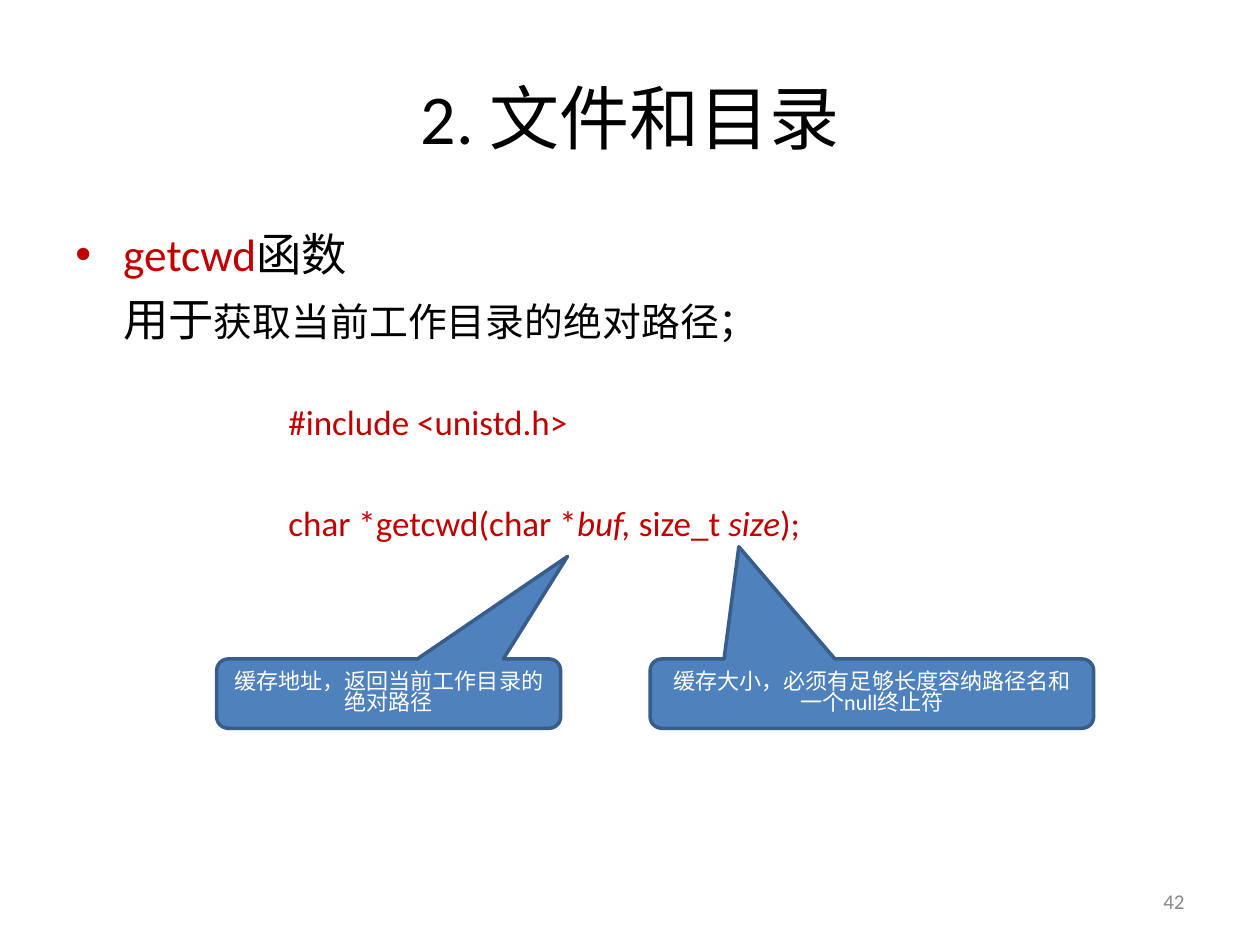
from lxml import etree
from pptx import Presentation
from pptx import util as u
from pptx.dml.color import RGBColor
from pptx.enum import shapes, text
from pptx.oxml import ns

COLORS = {"ink": "000000", "code": "C00000", "muted": "898989",
          "callout": "4F81BD", "edge": "385D8A", "light": "FFFFFF"}
FONT = "Calibri"
WIDTH, HEIGHT = 10, 7.5
MARGIN = WIDTH * 0.05
HANG = 0.38
CENTER, RIGHT = text.PP_ALIGN.CENTER, text.PP_ALIGN.RIGHT
MIDDLE = text.MSO_ANCHOR.MIDDLE

TITLE = [([("2. 文件和目录", 40, "ink", False)], {"alignment": CENTER})]
SUMMARY = [
    ([("getcwd", 25.9, "code", False), ("函数", 25.9, "ink", False)], {}),
    ([("用于", 25.9, "ink", False), ("获取当前工作目录的绝对路径；", 22.2, "ink", False)],
     {"space_before": u.Pt(6)}),
]
PROTOTYPE = [
    ([("#include <unistd.h>", 20, "code", False)], {}),
    ([("char *getcwd(char *", 20, "code", False), ("buf, ", 20, "code", True),
      ("size_t", 20, "code", False), (" size", 20, "code", True),
      (");", 20, "code", False)], {"space_before": u.Pt(33.5)}),
]
PAGE = [([("42", 12, "muted", False)], {"alignment": RIGHT})]
TEXTS = [
    (TITLE, (MARGIN, 0.3, WIDTH - 2 * MARGIN, 1.25), MIDDLE),
    (SUMMARY, (MARGIN, 1.75, WIDTH - 2 * MARGIN, 1.06), text.MSO_ANCHOR.TOP),
    (PAGE, (WIDTH - MARGIN - 2.33, 6.95, 2.33, 0.4), MIDDLE),
    (PROTOTYPE, (2.19, 3.13, 5.47, 1.41), text.MSO_ANCHOR.TOP),
]
CALLOUT_TOP, CALLOUT_HEIGHT = 5.23, 0.55
CALLOUTS = [
    ("缓存地址，返回当前工作目录的绝对路径", 1.72, 2.73, (0.52, -1.98)),
    ("缓存大小，必须有足够长度容纳路径名和一个null终止符", 5.16, 3.52, (-0.3, -2.12)),
]


def rgb(name):
    return RGBColor.from_string(COLORS[name])


def apply(target, formats):
    for key, value in formats.items():
        setattr(target, key, value)


def write(frame, paragraphs, anchor):
    apply(frame, {"word_wrap": True, "vertical_anchor": anchor})
    for index, (pieces, formats) in enumerate(paragraphs):
        line = frame.paragraphs[0] if index == 0 else frame.add_paragraph()
        apply(line, formats)
        for words, size, color, italic in pieces:
            piece = line.add_run()
            piece.text = words
            apply(piece.font, {"name": FONT, "size": u.Pt(size), "italic": italic})
            piece.font.color.rgb = rgb(color)


def indent(line, bullet):
    props = line._p.get_or_add_pPr()
    props.set("marL", str(u.Inches(HANG)))
    props.set("indent", str(-u.Inches(HANG) if bullet else 0))
    if bullet:
        tint = etree.SubElement(props, ns.qn("a:buClr"))
        etree.SubElement(tint, ns.qn("a:srgbClr"), val=COLORS["code"])
        etree.SubElement(props, ns.qn("a:buFont"), typeface="Arial")
        etree.SubElement(props, ns.qn("a:buChar"), char="•")


def main():
    deck = Presentation()
    apply(deck, {"slide_width": u.Inches(WIDTH), "slide_height": u.Inches(HEIGHT)})
    slide = deck.slides.add_slide(deck.slide_layouts[6])

    for paragraphs, place, anchor in TEXTS:
        frame = slide.shapes.add_textbox(*map(u.Inches, place)).text_frame
        write(frame, paragraphs, anchor)
        if paragraphs is SUMMARY:
            for index, line in enumerate(frame.paragraphs):
                indent(line, bullet=index == 0)

    for words, left, width, tip in CALLOUTS:
        place = map(u.Inches, (left, CALLOUT_TOP, width, CALLOUT_HEIGHT))
        callout = slide.shapes.add_shape(
            shapes.MSO_SHAPE.ROUNDED_RECTANGULAR_CALLOUT, *place)
        callout.shadow.inherit = False
        callout.adjustments[0], callout.adjustments[1] = tip
        callout.fill.solid()
        callout.fill.fore_color.rgb = rgb("callout")
        callout.line.color.rgb = rgb("edge")
        callout.line.width = u.Pt(2)
        note = [([(words, 12.6, "light", False)],
                 {"alignment": CENTER, "line_spacing": 0.8})]
        write(callout.text_frame, note, MIDDLE)

    deck.save("out.pptx")


if __name__ == "__main__":
    main()
